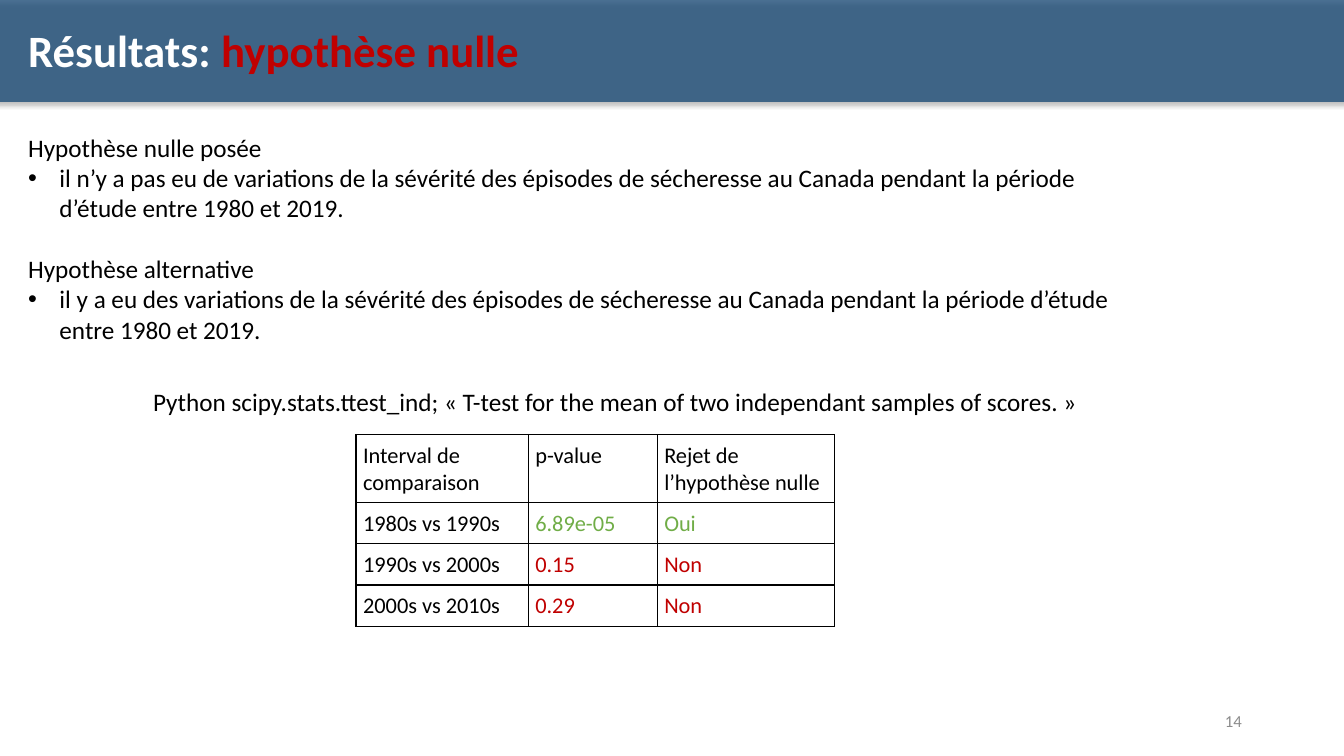
from dataclasses import dataclass

import pptx
import pptx.dml.color
import pptx.enum.shapes
import pptx.enum.text
import pptx.oxml
import pptx.oxml.ns
import pptx.util
from pptx.util import Cm

FONT = "Calibri"
COLOURS = {
    "band": "1F4E79",
    "white": "FFFFFF",
    "black": "000000",
    "red": "C00000",
    "green": "70AD47",
    "grey": "8C8C8C",
}
NAMESPACE = pptx.oxml.ns.nsdecls("a")
CELL_MARGIN = Cm(0.18)
BULLET_INDENT = Cm(0.79)


@dataclass(frozen=True)
class Run:
    text: str
    colour: str = "black"
    bold: bool = False


@dataclass(frozen=True)
class Paragraph:
    runs: tuple[Run, ...]
    bullet: bool = False
    space_before: float = 0
    line_spacing: float | None = None
    align_right: bool = False


@dataclass(frozen=True)
class TextBox:
    left: float
    top: float
    width: float
    height: float
    size: float
    paragraphs: tuple[Paragraph, ...]
    middle: bool = False


@dataclass(frozen=True)
class Comparison:
    interval: str
    p_value: str
    rejected: str
    colour: str


STUDY = "de la sévérité des épisodes de sécheresse au Canada pendant la période d’étude entre 1980 et 2019."
TEXT_BOXES = (
    TextBox(0.46, 0.58, 33.43, 1.5, 32, (
        Paragraph((Run("Résultats: ", "white", True), Run("hypothèse nulle", "red", True)),
                  line_spacing=35),
    )),
    TextBox(0.46, 3.2, 27.86, 5.64, 18, (
        Paragraph((Run("Hypothèse nulle posée"),)),
        Paragraph((Run(f"il n’y a pas eu de variations {STUDY}"),), bullet=True),
        Paragraph((Run("Hypothèse alternative"),), space_before=22),
        Paragraph((Run(f"il y a eu des variations {STUDY}"),), bullet=True),
    )),
    TextBox(3.61, 9.6, 25.88, 1.02, 18, (
        Paragraph((Run("Python scipy.stats.ttest_ind; « T-test for the mean of two "
                       "independant samples of scores. »"),)),
    )),
    TextBox(23.93, 17.65, 7.62, 1.02, 12, (
        Paragraph((Run("14", "grey"),), align_right=True),
    ), middle=True),
)

HEADINGS = (("Interval de comparaison",), ("p-value",), ("Rejet de ", "l’hypothèse nulle"))
COMPARISONS = (
    Comparison("1980s vs 1990s", "6.89e-05", "Oui", "green"),
    Comparison("1990s vs 2000s", "0.15", "Non", "red"),
    Comparison("2000s vs 2010s", "0.29", "Non", "red"),
)
COLUMN_WIDTHS = (4.34, 3.25, 4.47)
ROW_HEIGHTS = (1.71,) + (1.03,) * len(COMPARISONS)


def rgb(name: str) -> pptx.dml.color.RGBColor:
    return pptx.dml.color.RGBColor.from_string(COLOURS[name])


def write_paragraphs(frame, paragraphs: tuple[Paragraph, ...], size: float) -> None:
    for index, content in enumerate(paragraphs):
        paragraph = frame.paragraphs[0] if index == 0 else frame.add_paragraph()
        if content.bullet:
            properties = paragraph._p.get_or_add_pPr()
            properties.set("marL", str(BULLET_INDENT))
            properties.set("indent", str(-BULLET_INDENT))
            for element in ('buFont {} typeface="Arial"', 'buChar {} char="•"'):
                properties.append(pptx.oxml.parse_xml(f"<a:{element.format(NAMESPACE)}/>"))
        if content.space_before:
            paragraph.space_before = pptx.util.Pt(content.space_before)
        if content.line_spacing:
            paragraph.line_spacing = pptx.util.Pt(content.line_spacing)
        if content.align_right:
            paragraph.alignment = pptx.enum.text.PP_ALIGN.RIGHT
        for part in content.runs:
            run = paragraph.add_run()
            run.text = part.text
            run.font.name = FONT
            run.font.size = pptx.util.Pt(size)
            run.font.bold = part.bold
            run.font.color.rgb = rgb(part.colour)


def add_title_band(slide) -> None:
    """Draw the translucent header band with its soft shadow."""
    band = slide.shapes.add_shape(
        pptx.enum.shapes.MSO_SHAPE.ROUNDED_RECTANGLE, Cm(-0.46), Cm(0), Cm(34.8), Cm(2.57))
    band.adjustments[0] = 0
    band.fill.solid()
    band.fill.fore_color.rgb = rgb("band")
    band.line.fill.background()
    band.shadow.inherit = False
    properties = band._element.spPr
    fill_colour = properties.find(pptx.oxml.ns.qn("a:solidFill"))[0]
    fill_colour.append(pptx.oxml.parse_xml(f'<a:alpha {NAMESPACE} val="80000"/>'))
    properties.find(pptx.oxml.ns.qn("a:effectLst")).append(pptx.oxml.parse_xml(
        f'<a:outerShdw {NAMESPACE} blurRad="44450" dist="27940" dir="5400000" rotWithShape="0">'
        f'<a:srgbClr val="{COLOURS["black"]}"><a:alpha val="32000"/></a:srgbClr></a:outerShdw>'))


def add_text_box(slide, box: TextBox) -> None:
    shape = slide.shapes.add_textbox(Cm(box.left), Cm(box.top), Cm(box.width), Cm(box.height))
    frame = shape.text_frame
    frame.word_wrap = True
    if box.middle:
        frame.vertical_anchor = pptx.enum.text.MSO_ANCHOR.MIDDLE
    write_paragraphs(frame, box.paragraphs, box.size)


def fill_cell(cell, lines: tuple[str, ...], colour: str) -> None:
    cell.margin_left = cell.margin_right = CELL_MARGIN
    cell.margin_top = cell.margin_bottom = CELL_MARGIN
    properties = cell._tc.get_or_add_tcPr()
    for side in "LRTB":
        properties.append(pptx.oxml.parse_xml(
            f'<a:ln{side} {NAMESPACE} w="12700"><a:solidFill>'
            f'<a:srgbClr val="{COLOURS["black"]}"/></a:solidFill></a:ln{side}>'))
    cell.fill.background()
    write_paragraphs(cell.text_frame, tuple(Paragraph((Run(line, colour),)) for line in lines), 16)


def add_comparison_table(slide) -> None:
    table = slide.shapes.add_table(
        len(ROW_HEIGHTS), len(COLUMN_WIDTHS), Cm(8.97), Cm(10.95),
        Cm(sum(COLUMN_WIDTHS)), Cm(sum(ROW_HEIGHTS))).table
    table.first_row = table.horz_banding = False
    for column, width in zip(table.columns, COLUMN_WIDTHS):
        column.width = Cm(width)
    for row, height in zip(table.rows, ROW_HEIGHTS):
        row.height = Cm(height)
    for column_index, lines in enumerate(HEADINGS):
        fill_cell(table.cell(0, column_index), lines, "black")
    for row_index, comparison in enumerate(COMPARISONS, start=1):
        fill_cell(table.cell(row_index, 0), (comparison.interval,), "black")
        fill_cell(table.cell(row_index, 1), (comparison.p_value,), comparison.colour)
        fill_cell(table.cell(row_index, 2), (comparison.rejected,), comparison.colour)


def main() -> None:
    presentation = pptx.Presentation()
    presentation.slide_width = Cm(33.87)
    presentation.slide_height = Cm(19.05)
    slide = presentation.slides.add_slide(presentation.slide_layouts[6])
    add_title_band(slide)
    for box in TEXT_BOXES:
        add_text_box(slide, box)
    add_comparison_table(slide)
    presentation.save("out.pptx")


if __name__ == "__main__":
    main()
